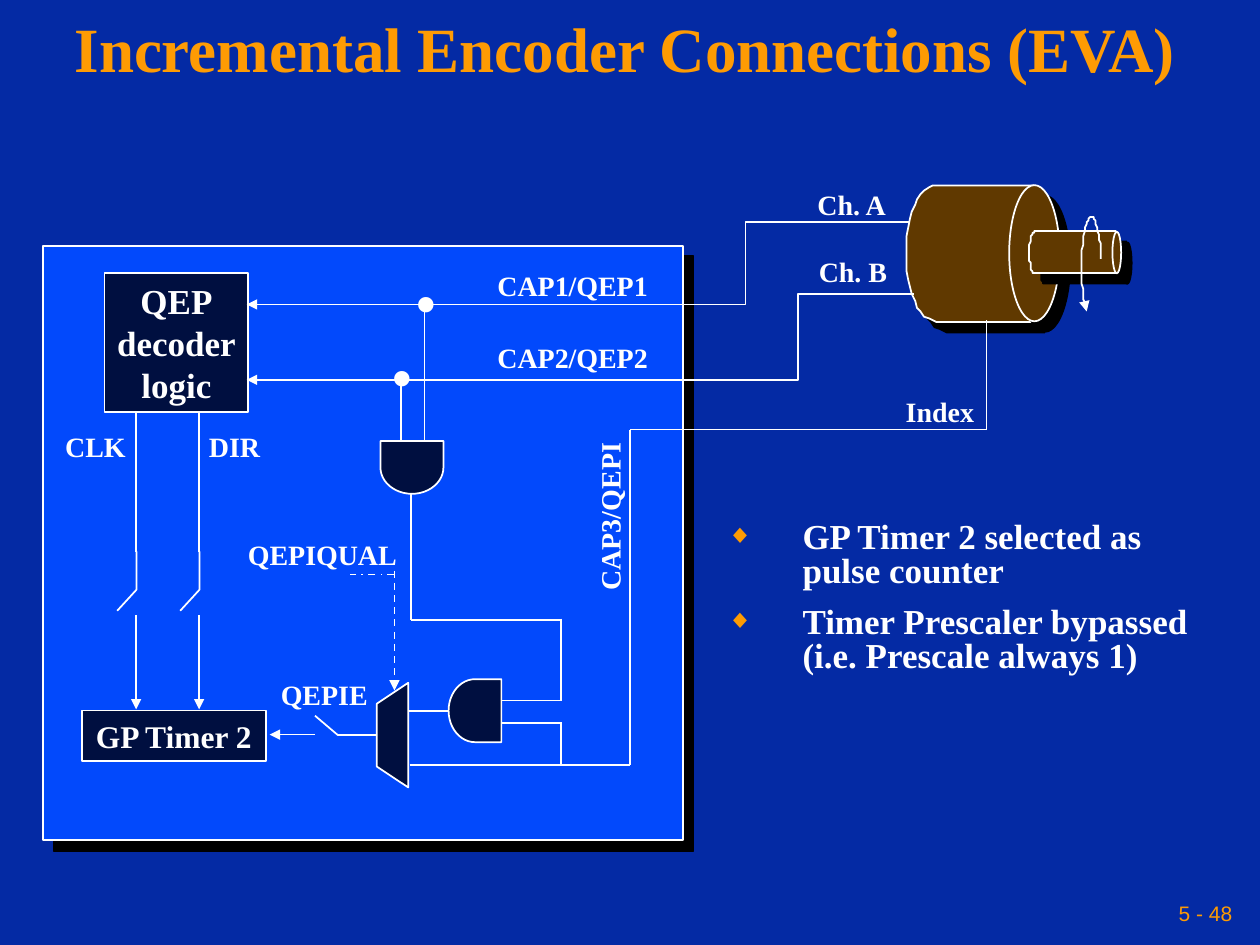
from math import cos, pi, sin

from lxml.etree import SubElement
from pptx import Presentation
from pptx.dml.color import RGBColor
from pptx.enum.dml import MSO_LINE_DASH_STYLE as Dash
from pptx.enum.shapes import MSO_CONNECTOR, MSO_SHAPE as Shape
from pptx.enum.text import MSO_ANCHOR as Anchor, MSO_AUTO_SIZE as AutoSize, PP_ALIGN as Align
from pptx.oxml.ns import qn
from pptx.util import Pt

NAVY, PANEL, DARK, BROWN = "042AA4", "0249FC", "000F40", "603900"
WHITE, ORANGE, BLACK = "FFFFFF", "FE9B03", "000000"
SERIF = "Times New Roman"

TITLE = "Incremental Encoder Connections (EVA)"
BULLETS = ["GP Timer 2 selected as pulse counter",
           "Timer Prescaler bypassed (i.e. Prescale always 1)"]
# text, left, top, width, rotation
LABELS = [
    ("Ch. A", 460, 103.7, 54, 0), ("Ch. B", 460.8, 141.8, 53.3, 0),
    ("CAP1/QEP1", 277.2, 149.8, 100, 0), ("CAP2/QEP2", 277.2, 190.8, 100, 0),
    ("CLK", 30.2, 241.9, 49, 0), ("DIR", 112.3, 241.9, 43.2, 0),
    ("Index", 510.5, 221.8, 53.3, 0), ("CAP3/QEPI", 298.8, 282.2, 98.6, 270),
    ("QEPIE", 153.4, 383.8, 64, 0), ("QEPIQUAL", 134.6, 303.8, 99.4, 0),
]
JUNCTIONS = [(216, 175), (229.7, 133.2)]
# lines, left, top, width, height, size
BLOCKS = [
    (["QEP", "decoder", "logic"], 59.8, 156.2, 82.1, 79.2, 20),
    (["GP Timer 2"], 46.8, 406.1, 105.1, 28.8, 18),
]
# kind, left, top, width, height, rotation
GATES = [
    (Shape.FLOWCHART_DELAY, 256.3, 388.1, 30.2, 36, 180),
    (Shape.FLOWCHART_MANUAL_OPERATION, 194.4, 411.1, 59.8, 18, 90),
    (Shape.FLOWCHART_DELAY, 220.3, 249.1, 30.2, 36, 90),
]
SWITCHED = [77.8, 113.8]  # x of the CLK and DIR lines
WIRES = [
    [(242.6, 174.2), (242.6, 252)], [(229, 216), (229, 252)],
    [(321.1, 413.3), (285.8, 413.3)], [(321.1, 400.3), (285.8, 400.3)],
    [(257, 406.1), (233.3, 406.1)], [(320.4, 353.5), (320.4, 400.3)],
    [(234, 437), (360, 437)], [(320.4, 413.3), (320.4, 437.8)],
    [(360, 437), (360, 245.5)], [(360, 245.5), (563.8, 245.5)],
    [(563.8, 245.5), (563.8, 182.9)], [(234.7, 282.2), (234.7, 354.2)],
    [(234.7, 354.2), (320.4, 354.2)], [(214.6, 419.8), (193, 419.8), (180, 409)],
]
ARROWS = [
    [(522, 168.5), (455.8, 168.5), (455.8, 216.7), (141.1, 216.7)],
    [(519.8, 126.7), (425.5, 126.7), (426.2, 174.2), (141.1, 174.2)],
    [(180, 419.8), (154.1, 419.8)],
]
# cubic pieces of the rotation arrow, ending at the arrowhead
SPIN = [[(629.3, 148.3), (628.6, 135.4), (626.4, 125.3), (624.2, 123.8)],
        [(624.2, 123.8), (621.4, 123.1), (619.2, 130.3), (618.5, 143.3)],
        [(618.5, 143.3), (617.8, 155.5), (618.5, 169.9), (620.6, 177.8)]]


def rgb(value):
    return RGBColor.from_string(value)


def frame(left, top, width, height):
    return [Pt(v) for v in (left, top, width, height)]


def style(shape, fill=None, shadow=False):
    shape.shadow.inherit = False
    if fill:
        shape.fill.solid()
        shape.fill.fore_color.rgb = rgb(fill)
    else:
        shape.fill.background()
    shape.line.color.rgb = rgb(WHITE)
    shape.line.width = Pt(1)
    if shadow:
        effects = shape._element.spPr.find(qn("a:effectLst"))
        outer = SubElement(effects, qn("a:outerShdw"), dist=str(Pt(8.5)),
                           dir="2700000", algn="ctr", rotWithShape="0")
        SubElement(outer, qn("a:srgbClr"), val=BLACK)


def write(shape, lines, size, color=WHITE, font=SERIF, bold=True, align=Align.LEFT,
          spacing=None, margin=7.2, wrap=False, anchor=Anchor.TOP):
    box = shape.text_frame
    box.word_wrap = wrap
    box.auto_size = AutoSize.NONE
    box.vertical_anchor = anchor
    box.margin_left = box.margin_right = Pt(margin)
    box.margin_top = box.margin_bottom = Pt(3.6)
    box.text = "\n".join(lines)
    for para in box.paragraphs:
        para.alignment, para.line_spacing = align, spacing
        para.space_before = Pt(0)
        para.font.name, para.font.size, para.font.bold = font, Pt(size), bold
        para.font.color.rgb = rgb(color)


def add_bullet(para):
    props = para._p.get_or_add_pPr()
    props.set("marL", str(Pt(43.2)))
    props.set("indent", str(-Pt(43.2)))
    color = SubElement(props, qn("a:buClr"))
    SubElement(color, qn("a:srgbClr"), val=ORANGE)
    SubElement(props, qn("a:buSzPct"), val="75000")
    SubElement(props, qn("a:buChar"), char="◆")


def outline(shapes, points, fill=None, shadow=False):
    builder = shapes.build_freeform(*points[0], scale=float(Pt(1)))
    builder.add_line_segments(points[1:], close=False)
    shape = builder.convert_to_shape()
    style(shape, fill, shadow)
    return shape


def wire(shapes, points, arrow=False, dash=None):
    """Draw a connector, or an open outline when the wire bends."""
    if len(points) == 2:
        ends = [Pt(v) for point in points for v in point]
        line = shapes.add_connector(MSO_CONNECTOR.STRAIGHT, *ends)
        line.line.color.rgb = rgb(WHITE)
        line.line.width = Pt(1)
        SubElement(line._element.spPr, qn("a:effectLst"))
    else:
        line = outline(shapes, points)
    if dash:
        line.line.dash_style = dash
    if arrow:
        SubElement(line._element.spPr.find(qn("a:ln")), qn("a:tailEnd"), type="triangle")


def cylinder(shapes, left, bulge, top, bottom, right, face):
    """Draw a round-backed body from left to right, then its end face."""
    middle, radius = (top + bottom) / 2, (bottom - top) / 2
    back = [(left + bulge * (1 - sin(pi * i / 24)), middle - radius * cos(pi * i / 24))
            for i in range(25)]
    outline(shapes, [(right, top), *back, (right, bottom)], BROWN, True)
    end = shapes.add_shape(Shape.OVAL, *frame(right - face / 2, top, face, bottom - top))
    style(end, BROWN, True)


def cubic(start, first, second, end, steps=12):
    for i in range(steps + 1):
        t = i / steps
        yield tuple((1 - t) ** 3 * a + 3 * t * (1 - t) ** 2 * b + 3 * t * t * (1 - t) * c + t ** 3 * d
                    for a, b, c, d in zip(start, first, second, end))


def main():
    deck = Presentation()
    deck.slide_width, deck.slide_height = Pt(720), Pt(540)
    page = deck.slides.add_slide(deck.slide_layouts[1])
    page.background.fill.solid()
    page.background.fill.fore_color.rgb = rgb(NAVY)
    shapes = page.shapes

    title, body = page.placeholders
    title.left, title.top, title.width, title.height = frame(0, 0, 714.2, 59.8)
    write(title, [TITLE], 36, ORANGE, align=Align.CENTER, spacing=0.9, margin=3.6,
          wrap=True, anchor=Anchor.MIDDLE)
    body.left, body.top, body.width, body.height = frame(408.2, 295.2, 293.8, 94.3)
    body.text_frame.text = "\n".join(BULLETS)
    write(body, BULLETS, 20, spacing=0.8, wrap=True)
    for para in body.text_frame.paragraphs:
        add_bullet(para)
    body.text_frame.paragraphs[1].space_before = Pt(10)

    number = shapes.add_textbox(*frame(491.8, 509.8, 216, 23.8))
    write(number, ["5 - 48"], 12, ORANGE, "Arial", False, Align.RIGHT, margin=3.6,
          wrap=True, anchor=Anchor.MIDDLE)

    panel = shapes.add_shape(Shape.RECTANGLE, *frame(24.5, 140.4, 365.8, 339.8))
    style(panel, PANEL, True)
    cylinder(shapes, 517.7, 17.3, 105.8, 183.6, 591.1, 28.8)
    cylinder(shapes, 588.2, 2.9, 132.5, 156.2, 638.2, 5)
    wire(shapes, [(624.6, 126)] and [p for piece in SPIN for p in cubic(*piece)], arrow=True)

    for lines, left, top, width, height, size in BLOCKS:
        block = shapes.add_shape(Shape.RECTANGLE, *frame(left, top, width, height))
        style(block, DARK)
        write(block, lines, size, align=Align.CENTER)
    for x in SWITCHED:
        wire(shapes, [(x, 236.2), (x, 315.4)])
        wire(shapes, [(x, 315.4), (x, 337), (x - 10.8, 349.2)])
        wire(shapes, [(x, 351.4), (x, 405.4)], arrow=True)
    for points in WIRES:
        wire(shapes, points)
    for points in ARROWS:
        wire(shapes, points, arrow=True)
    for kind, left, top, width, height, turn in GATES:
        gate = shapes.add_shape(kind, *frame(left, top, width, height))
        gate.rotation = turn
        style(gate, DARK)
    wire(shapes, [(225.4, 326.2), (225.4, 394.6)], arrow=True, dash=Dash.DASH)
    wire(shapes, [(225.4, 328.3), (200.2, 328.3)], dash=Dash.DASH_DOT)

    for left, top in JUNCTIONS:
        dot = shapes.add_textbox(*frame(left, top, 28.1, 59))
        write(dot, ["."], 54, spacing=0.8)
    for text, left, top, width, turn in LABELS:
        label = shapes.add_textbox(*frame(left, top, width, 25.9))
        label.rotation = turn
        write(label, [text], 16)
    deck.save("out.pptx")


if __name__ == "__main__":
    main()
